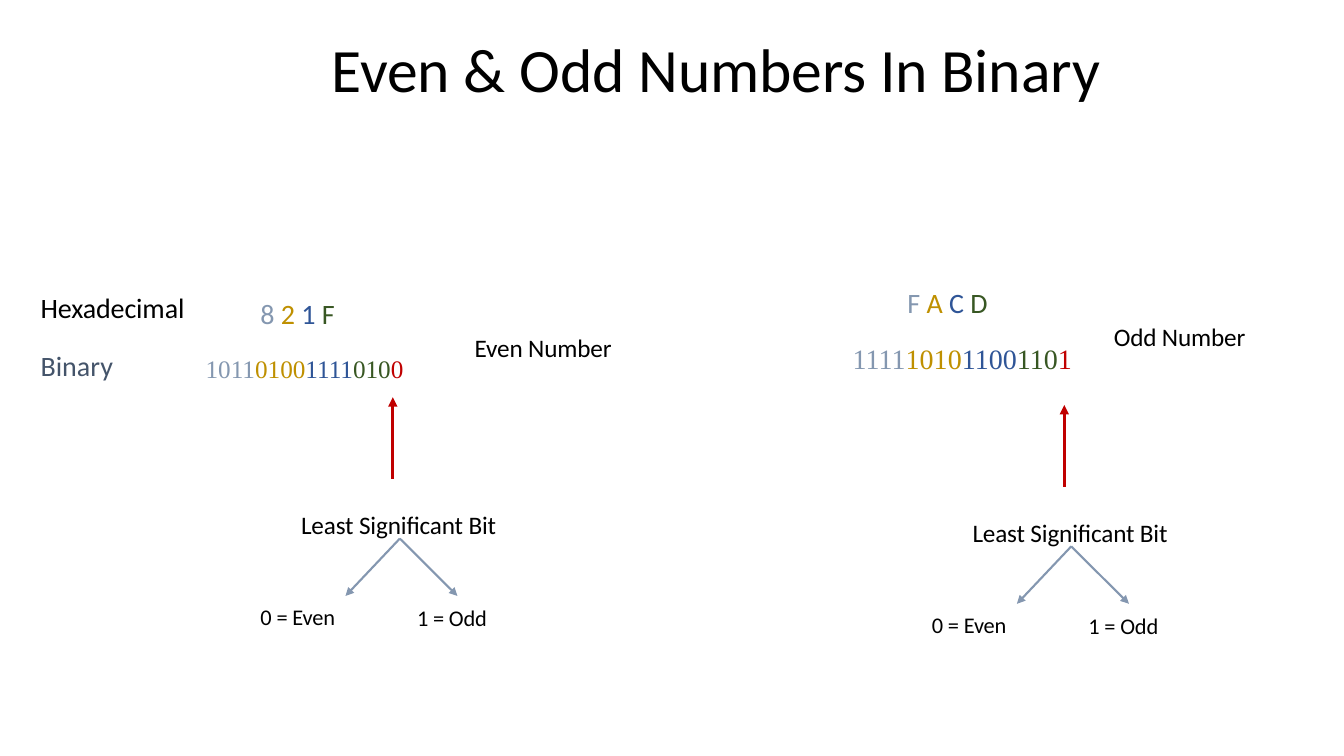
from lxml import etree
from pptx import Presentation
from pptx import util as u
from pptx.dml.color import RGBColor
from pptx.enum import shapes, text
from pptx.oxml.ns import qn

BLACK, RED, STEEL = "000000", "C00000", "8497B0"
DIGIT_COLORS = [STEEL, "BF9000", "2F5597", "385723", RED]


def paint(color_format, value):
    color_format.rgb = RGBColor.from_string(value)


def add_text(slide, left, top, width, height, spans, size, font="Calibri", spacing=0, before=1):
    box = slide.shapes.add_textbox(u.Pt(left), u.Pt(top), u.Pt(width), u.Pt(height))
    frame = box.text_frame
    frame.word_wrap = True
    frame.margin_left = frame.margin_right = frame.margin_bottom = 0
    frame.margin_top = u.Pt(1)
    para = frame.paragraphs[0]
    para.space_before = u.Pt(before)
    for content, color in spans:
        span = para.add_run()
        span.text = content
        span.font.size = u.Pt(size)
        span.font.name = font
        paint(span.font.color, color)
        if spacing:
            span.font._element.set("spc", str(spacing))
    return box


def add_label(slide, left, top, width, height, content, size):
    return add_text(slide, left, top, width, height, [(content, BLACK)], size, spacing=-10)


def add_arrow(slide, x1, y1, x2, y2, color, weight):
    arrow = slide.shapes.add_connector(
        shapes.MSO_CONNECTOR.STRAIGHT, u.Pt(x1), u.Pt(y1), u.Pt(x2), u.Pt(y2))
    paint(arrow.line.color, color)
    arrow.line.width = u.Pt(weight)
    etree.SubElement(arrow.line._get_or_add_ln(), qn("a:tailEnd"), type="triangle")
    etree.SubElement(arrow._element.spPr, qn("a:effectLst"))


def add_title(slide, left, top, width, height):
    title = add_label(slide, left, top, width, height, "Even & Odd Numbers In Binary", 44)
    title.text_frame.vertical_anchor = text.MSO_ANCHOR.MIDDLE


def add_row_names(slide, left, top):
    add_label(slide, left, top, 112, 25, "Hexadecimal", 20)
    add_text(slide, left, top + 41, 112, 25, [("Binary", "44546A")], 20, before=0)


def add_number(slide, left, top, hex_digits, bit_groups, bit_size, name, name_offset):
    hex_spans = zip(hex_digits.replace(" ", " |").split("|"), DIGIT_COLORS)
    add_text(slide, left + 39, top, 90, 25, hex_spans, 20)
    bit_spans = zip(bit_groups.split(), DIGIT_COLORS)
    add_text(slide, left, top + 40.3, 176, 25, bit_spans, bit_size, "Times New Roman", before=0)
    add_label(slide, left + name_offset, top + 25.2, 150, 23, name, 18)


def add_bit_test(slide, left, top):
    add_arrow(slide, left + 95, top + 58.3, left + 95, top, RED, 2.25)
    add_label(slide, left + 29.5, top + 79.2, 158, 23, "Least Significant Bit", 18)
    for tip in (61.2, 141.2):
        add_arrow(slide, left + 100, top + 101, left + tip, top + 142, STEEL, 1.5)
    add_label(slide, left + 0.5, top + 146, 111, 20, "0 = Even", 16)
    add_label(slide, left + 112.3, top + 147.2, 111, 20, "1 = Odd", 16)


def main():
    deck = Presentation()
    deck.slide_width, deck.slide_height = u.Pt(960), u.Pt(540)
    page = deck.slides.add_slide(deck.slide_layouts[6])
    add_title(page, 237, 21, 605, 54)
    add_row_names(page, 29, 206.6)
    add_number(page, 146.9, 211, "8 2 1 F", "1011 0100 1111 010 0", 18, "Even Number", 192.2)
    add_number(page, 609.1, 203, "F A C D", "1111 1010 1100 110 1", 20, "Odd Number", 186.5)
    add_bit_test(page, 185.6, 283.7)
    add_bit_test(page, 665.2, 289.3)
    deck.save("out.pptx")


if __name__ == "__main__":
    main()
